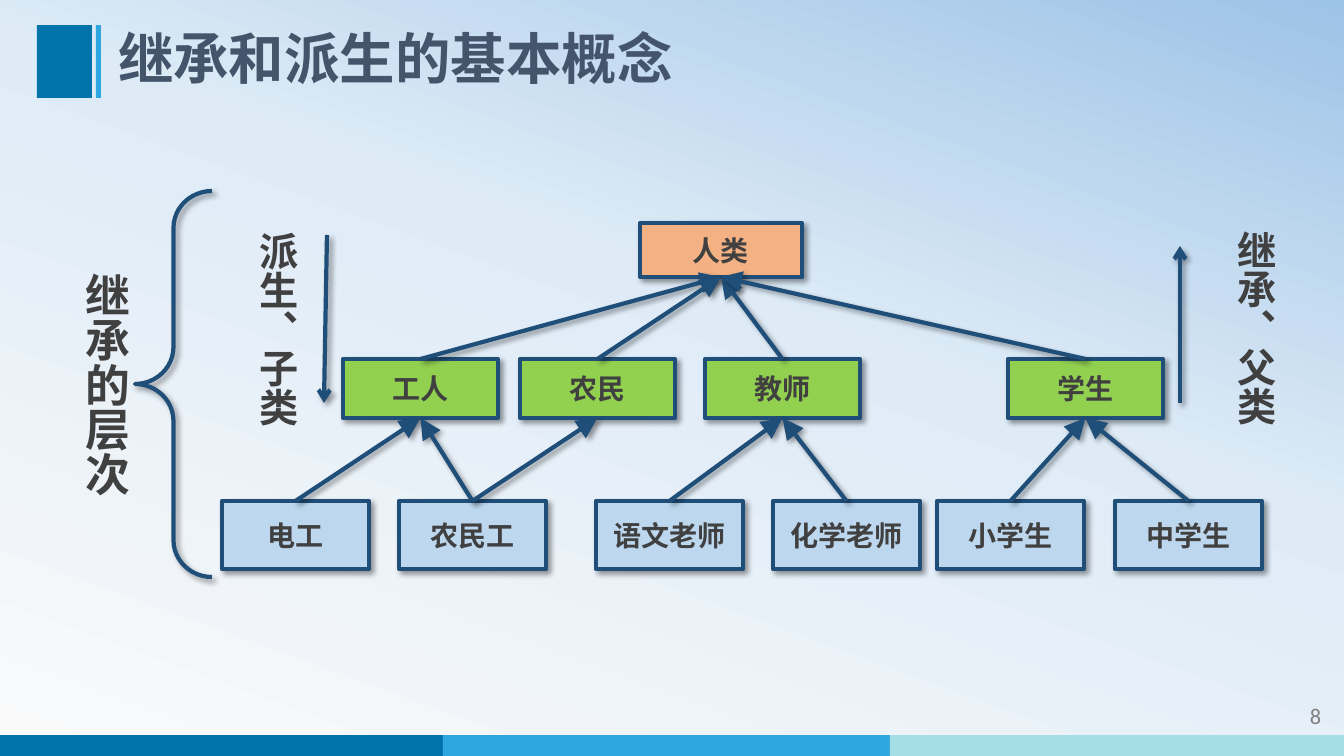
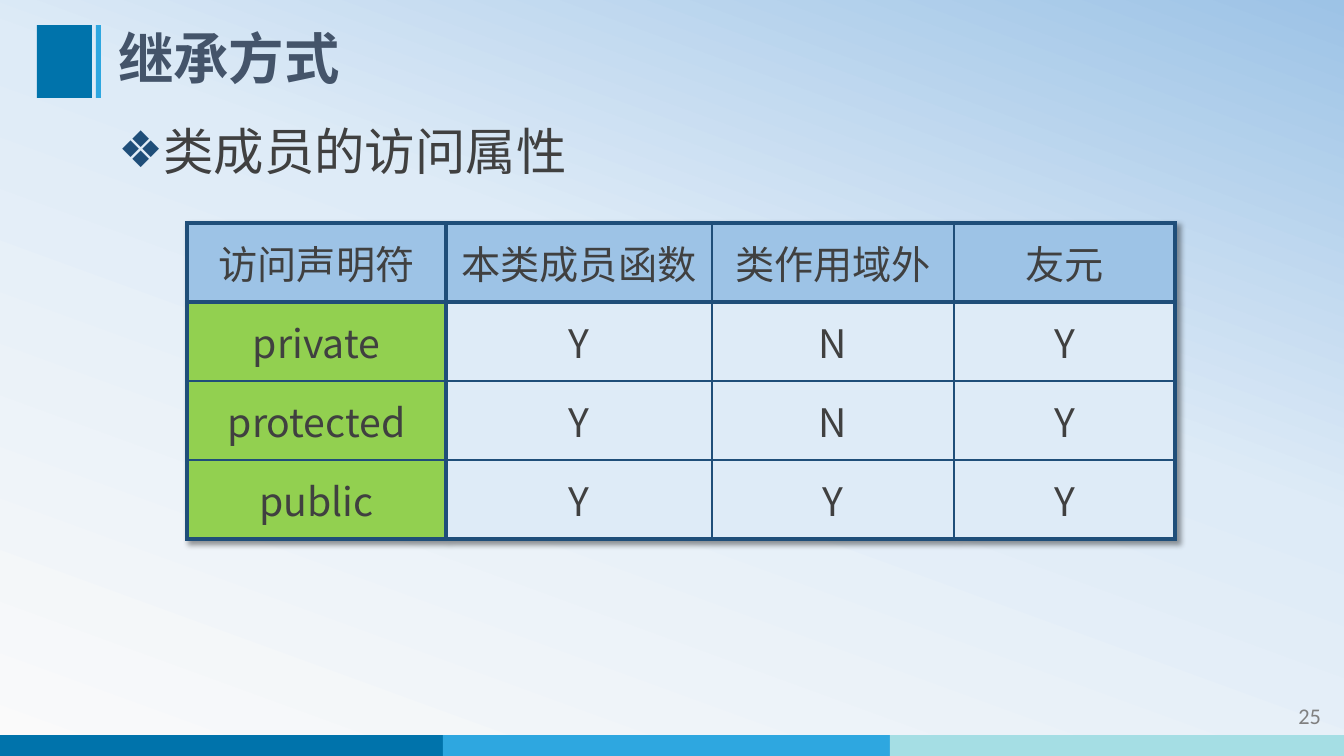
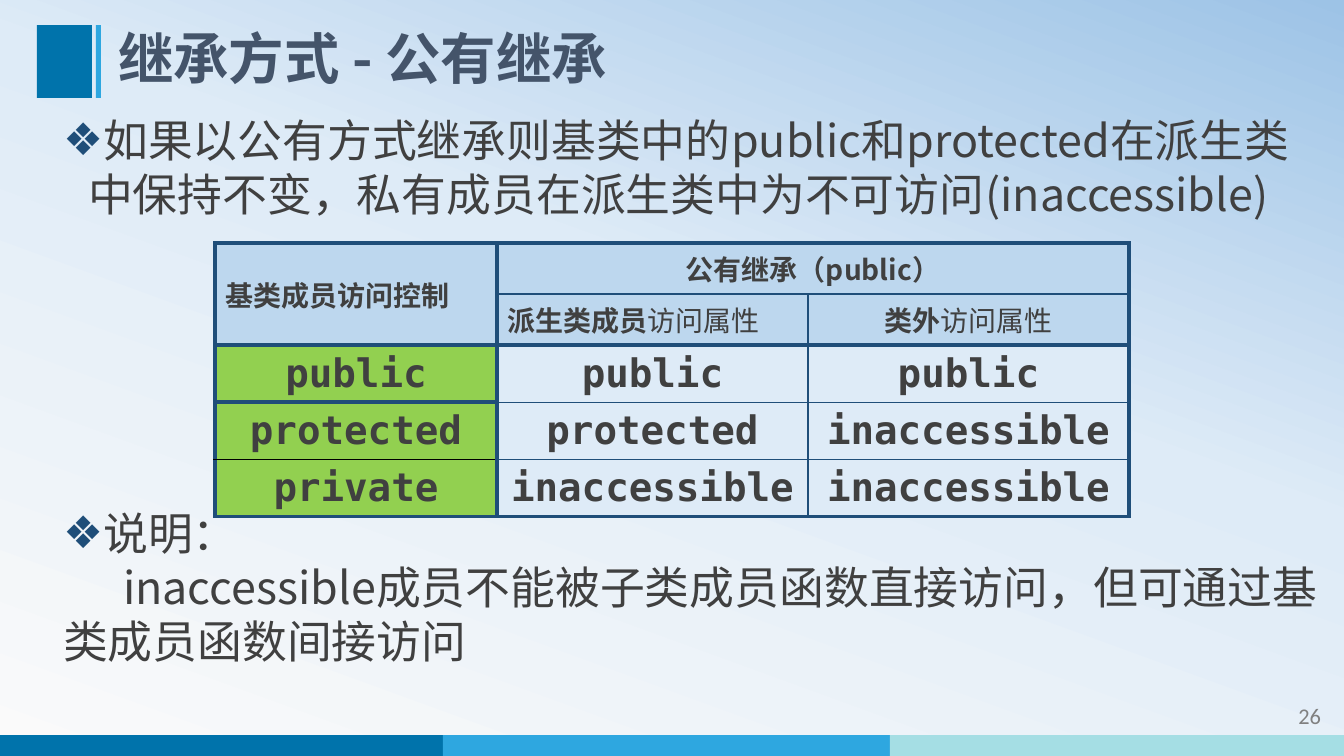
from copy import deepcopy
from itertools import product

from pptx import Presentation, oxml, util as u
from pptx.dml.color import RGBColor
from pptx.enum import shapes, text
from pptx.oxml.ns import nsdecls, qn

SCALE = 914400 / 100.8
NOTO, MONO, CALIBRI = "Noto Sans CJK SC", "DejaVu Sans Mono", "Calibri"
NAVY, INK, SLATE, GREY = "1F4E79", "404040", "44546A", "808080"
BLUE, SKY, AQUA = "0073AB", "2EA7E0", "A5DEE4"
ORANGE, GREEN, PALE, MIST, STEEL = "F4B183", "92D050", "BDD7EE", "DEEBF7", "9DC3E6"
THICK, THIN = (3, NAVY), (1, NAVY)
LEFT, CENTER, RIGHT = text.PP_ALIGN.LEFT, text.PP_ALIGN.CENTER, text.PP_ALIGN.RIGHT
MIDDLE = text.MSO_ANCHOR.MIDDLE


def px(*sizes):
    """Turn pixels into a list of EMU lengths."""
    return [u.Emu(round(size * SCALE)) for size in sizes]


def hue(code):
    """Turn a hex string into a colour."""
    return RGBColor.from_string(code)


def node(tag, body="", **attrs):
    """Make one DrawingML element."""
    pairs = " ".join(f'{key}="{val}"' for key, val in attrs.items())
    return oxml.parse_xml(f'<a:{tag} {nsdecls("a")} {pairs}>{body}</a:{tag}>')


def ink(para, size, color=INK, bold=False, font=NOTO):
    """Format all runs of a paragraph."""
    for run in para.runs:
        run.font.size, run.font.bold, run.font.name = u.Pt(size), bold, font
        run.font.color.rgb = hue(color)


def pair(slide):
    """Give East Asian text the same face as Latin text."""
    for latin in list(slide.element.iter(qn("a:latin"))):
        latin.addnext(node("ea", typeface=latin.get("typeface")))


def glow():
    """Make the soft shadow to the lower right."""
    dark = '<a:srgbClr val="000000"><a:alpha val="40000"/></a:srgbClr>'
    shade = (f'<a:outerShdw blurRad="50800" dist="38100" dir="2700000" '
             f'algn="tl" rotWithShape="0">{dark}</a:outerShdw>')
    return node("effectLst", shade)


def trim(item):
    """Give a shape or connector the navy line and the shadow."""
    item.line.color.rgb = hue(NAVY)
    item.line.width = u.Pt(3)
    item.element.find(qn("p:spPr")).append(glow())


def block(slide, box, color):
    """Draw a plain rectangle."""
    item = slide.shapes.add_shape(shapes.MSO_SHAPE.RECTANGLE, *px(*box))
    item.fill.solid()
    item.fill.fore_color.rgb = hue(color)
    return item


def dress(master, slide):
    """Set the gradient, bottom bands and title mark on the master."""
    fill = master.background.fill
    fill.gradient()
    fill.gradient_angle = 70
    stops = master.element.find(".//" + qn("a:gsLst"))
    stops.append(deepcopy(stops[-1]))
    for stop, place, color in zip(fill.gradient_stops, (0, 0.58, 1), ("FAFAFA", MIST, STEEL)):
        stop.position = place
        stop.color.rgb = hue(color)
    bands = [((-3, 735, 454, 21), BLUE), ((443, 735, 454, 21), SKY),
             ((890, 735, 454, 21), AQUA), ((37, 25, 55, 73), BLUE),
             ((96, 25, 5, 73), SKY)]
    for count, (box, color) in enumerate(bands, 20):
        band = block(slide, box, color)
        band.line.fill.background()
        band.shadow.inherit = False
        band.element.find(".//" + qn("p:cNvPr")).set("id", str(count))
        master.shapes.element.append(band.element)


def place(item, box):
    """Move a shape to a box."""
    item.left, item.top, item.width, item.height = px(*box)


def head(slide, title, page):
    """Fill the title and the page number."""
    item = slide.shapes.title
    place(item, (108, 25, 1095, 73))
    frame = item.text_frame
    frame.text = title
    frame.vertical_anchor = MIDDLE
    frame.auto_size = text.MSO_AUTO_SIZE.NONE
    para = frame.paragraphs[0]
    para.alignment, para.line_spacing = LEFT, 0.9
    ink(para, 39.6, SLATE, True)
    foot = slide.shapes.add_textbox(*px(1171, 697, 160, 40)).text_frame
    foot.word_wrap = True
    foot.text = str(page)
    foot.paragraphs[0].alignment = RIGHT
    ink(foot.paragraphs[0], 16, GREY, font=CALIBRI)


def points(slide, box, items, size):
    """Fill the body with (text, space before, bulleted) items."""
    body = slide.placeholders[1]
    place(body, box)
    frame = body.text_frame
    frame.text = "\n".join(item[0] for item in items)
    frame.auto_size = text.MSO_AUTO_SIZE.NONE
    for para, (_, gap, _) in zip(frame.paragraphs, items):
        para.line_spacing, para.space_before = 1.0, u.Pt(gap)
        ink(para, size)
    for props, (_, _, mark) in zip(body.element.iter(qn("a:pPr")), items):
        margin, indent = px(25, -25) if mark else px(0, 60)
        props.set("marL", str(margin))
        props.set("indent", str(indent))
        if mark:
            props.append(node("buClr", f'<a:srgbClr val="{NAVY}"/>'))
            props.append(node("buChar", char="❖"))
        else:
            props.append(node("buNone"))


def card(slide, box, label, color):
    """Draw one class box."""
    item = block(slide, box, color)
    trim(item)
    item.text_frame.text = label
    item.text_frame.vertical_anchor = MIDDLE
    item.text_frame.paragraphs[0].alignment = CENTER
    ink(item.text_frame.paragraphs[0], 20, bold=True)
    return item


def tier(slide, top, size, color, labels):
    """Draw a row of class boxes from a map of label to left edge."""
    return {label: card(slide, (left, top, *size), label, color)
            for label, left in labels.items()}


def arrow(slide, ends, tip, size="med"):
    """Draw an arrow between two points."""
    item = slide.shapes.add_connector(shapes.MSO_CONNECTOR.STRAIGHT, *px(*ends))
    trim(item)
    point = node("tailEnd", type=tip, w=size, len=size)
    item.element.find(".//" + qn("a:ln")).append(point)
    return item


def upright(slide, box, label, size, wrap=True):
    """Write bold vertical text."""
    item = slide.shapes.add_textbox(*px(*box))
    frame = item.text_frame
    frame.text = label
    frame.word_wrap = wrap
    frame.auto_size = text.MSO_AUTO_SIZE.SHAPE_TO_FIT_TEXT
    item.element.find(".//" + qn("a:bodyPr")).set("vert", "eaVert")
    ink(frame.paragraphs[0], size, bold=True)


def tree(slide):
    """Draw the class hierarchy with its side labels."""
    cards = tier(slide, 223, (162, 54), ORANGE, {"人类": 640})
    cards |= tier(slide, 359, (155, 59), GREEN,
                  {"工人": 343, "农民": 520, "教师": 705, "学生": 1008})
    cards |= tier(slide, 501, (147, 68), PALE,
                  {"电工": 222, "农民工": 399, "语文老师": 596,
                   "化学老师": 773, "小学生": 937, "中学生": 1115})
    kin = {"人类": ["工人", "农民", "教师", "学生"], "工人": ["电工", "农民工"],
           "农民": ["农民工"], "教师": ["语文老师", "化学老师"],
           "学生": ["小学生", "中学生"]}
    for base, subs in kin.items():
        for sub in subs:
            link = arrow(slide, (0, 0, 1, 1), "triangle", "lg")
            link.begin_connect(cards[sub], 0)
            link.end_connect(cards[base], 2)
    brace = slide.shapes.add_shape(shapes.MSO_SHAPE.LEFT_BRACE, *px(135, 191, 77, 386))
    brace.adjustments[0] = 0.48
    brace.fill.background()
    trim(brace)
    upright(slide, (63, 263, 75, 236), "继承的层次", 32, wrap=False)
    upright(slide, (238, 222, 68, 239), "派生、子类", 28)
    upright(slide, (1216, 221, 68, 243), "继承、父类", 28)
    arrow(slide, (327, 235, 324, 403), "arrow")
    arrow(slide, (1180, 403, 1180, 246), "arrow")


def edges(row, col, count, width, top):
    """Give the rule for the four borders of a cell; top is the header depth."""
    sides = {"L": col in (0, 1), "R": col + 1 in (1, width),
             "T": row in (0, top), "B": row + 1 in (top, count)}
    return {side: THICK if bold else THIN for side, bold in sides.items()}


def fill_cell(cell, label, style, align):
    """Write a cell; text after a bar is not bold."""
    size, font, bold = style
    lead, _, rest = label.partition("|")
    cell.text_frame.text = lead
    cell.vertical_anchor = MIDDLE
    para = cell.text_frame.paragraphs[0]
    para.alignment = align
    ink(para, size, bold=bold, font=font)
    if rest:
        run = para.add_run()
        run.text = rest
        run.font.size, run.font.name, run.font.bold = u.Pt(size), font, False
        run.font.color.rgb = hue(INK)


def grid(slide, spot, cols, highs, rows, top, tint, styles, spans=(), lefts=(), odd={}):
    """Draw a table; odd holds borders that leave the rule."""
    count, width = len(rows), len(cols)
    frame = slide.shapes.add_table(count, width, *px(*spot, sum(cols), sum(highs)))
    table = frame.table
    table.first_row = table.horz_banding = False
    for col, size in zip(table.columns, px(*cols)):
        col.width = size
    for line, size in zip(table.rows, px(*highs)):
        line.height = size
    cells = list(frame.element.iter(qn("a:tc")))
    for row, col in product(range(count), range(width)):
        cell = table.cell(row, col)
        align = LEFT if (row, col) in lefts else CENTER
        fill_cell(cell, rows[row][col], styles[row >= top], align)
        cell.fill.solid()
        color = tint if row < top else MIST if col else GREEN
        cell.fill.fore_color.rgb = hue(color)
        props = cells[row * width + col].find(qn("a:tcPr"))
        rule = edges(row, col, count, width, top)
        for order, side in enumerate("LRTB"):
            weight, shade = odd.get((row, col, side), rule[side])
            paint = f'<a:solidFill><a:srgbClr val="{shade}"/></a:solidFill>'
            props.insert(order, node("ln" + side, paint, w=u.Pt(weight)))
    for first, last in spans:
        table.cell(*first).merge(table.cell(*last))
    return frame


def access(slide):
    """Show the access table with its heading."""
    points(slide, (108, 115, 1036, 91), [("类成员的访问属性", 10, True)], 36)
    rows = [["访问声明符", "本类成员函数", "类作用域外", "友元"],
            ["private", "Y", "N", "Y"],
            ["protected", "Y", "N", "Y"],
            ["public", "Y", "Y", "Y"]]
    plain = (28, NOTO, False)
    frame = grid(slide, (187, 223), (259, 266, 242, 221), [79] * 4, rows, 1, STEEL,
                 (plain, plain))
    frame.element.find(".//" + qn("a:tblPr")).insert(0, glow())


def public(slide):
    """Show public inheritance: rule, table and remark."""
    points(slide, (53, 108, 1291, 580), [
        ("如果以公有方式继承则基类中的public和protected在派生类中保持不变，"
         "私有成员在派生类中为不可访问(inaccessible)", 10, True),
        ("说明：", 204, True),
        ("inaccessible成员不能被子类成员函数直接访问，但可通过基类成员函数间接访问", 0, False),
    ], 32)
    rows = [["基类成员访问控制", "公有继承（public）", ""],
            ["", "派生类成员|访问属性", "类外|访问属性"],
            ["public", "public", "public"],
            ["protected", "protected", "inaccessible"],
            ["private", "inaccessible", "inaccessible"]]
    black = (1, "000000")
    odd = {(0, 0, "B"): THICK, (0, 1, "R"): THICK, (2, 0, "B"): THICK,
           (3, 0, "T"): THICK, (3, 0, "B"): black, (4, 0, "T"): black}
    grid(slide, (215, 243), (282, 311, 321), [51] * 2 + [56] * 3, rows, 2, PALE,
         ((20, NOTO, True), (28, MONO, True)),
         spans=[((0, 0), (1, 0)), ((0, 1), (0, 2))], lefts=[(0, 0), (1, 1)], odd=odd)


def main():
    """Build and save the slides."""
    deck = Presentation()
    deck.slide_width, deck.slide_height = px(1344, 756)
    pages = [(5, "继承和派生的基本概念", 8, tree), (1, "继承方式", 25, access),
             (1, "继承方式 - 公有继承", 26, public)]
    for layout, title, page, draw in pages:
        slide = deck.slides.add_slide(deck.slide_layouts[layout])
        if len(deck.slides) == 1:
            dress(deck.slide_master, slide)
        head(slide, title, page)
        draw(slide)
        pair(slide)
    deck.save("out.pptx")


main()
